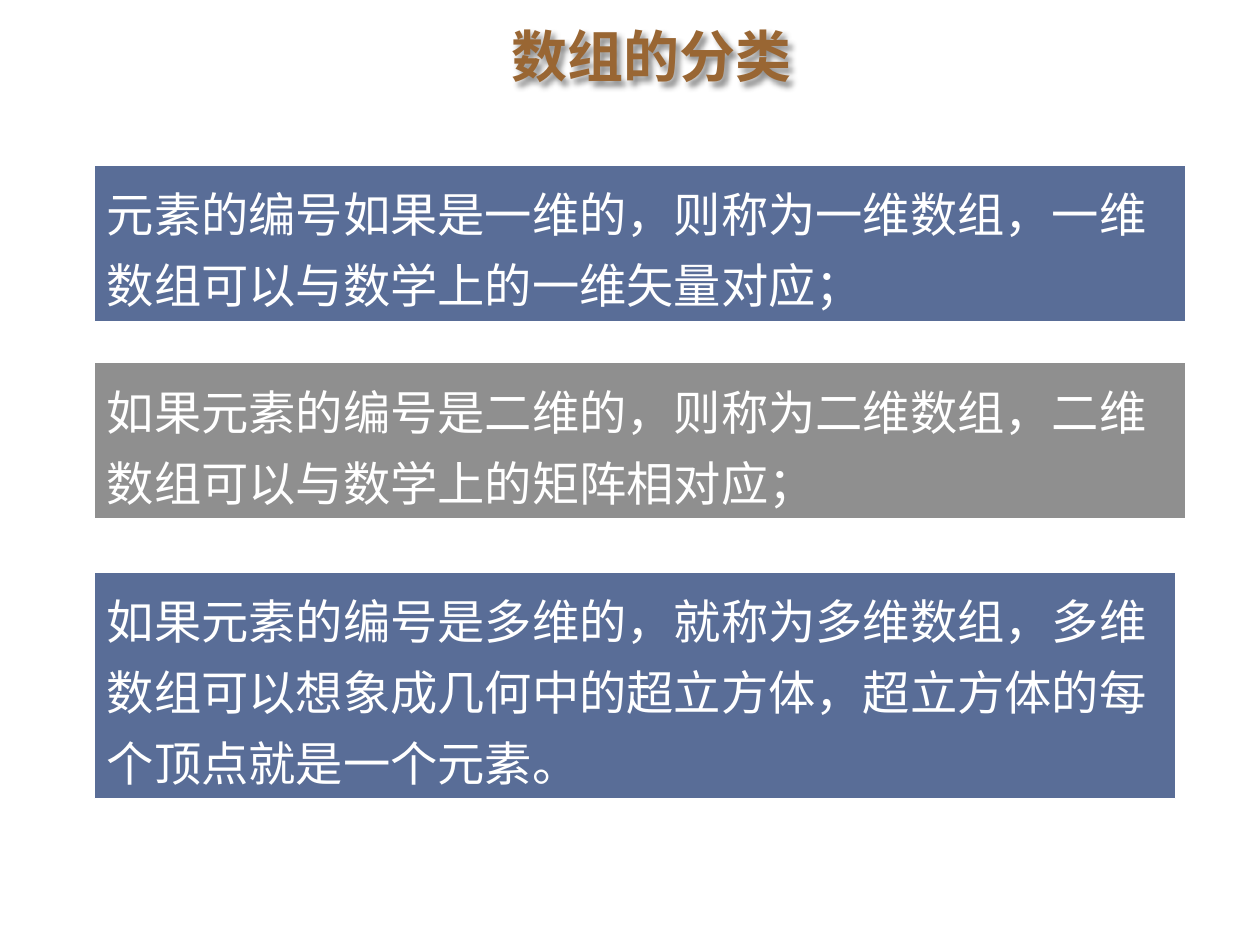
from lxml import etree
from pptx import Presentation
from pptx.dml.color import RGBColor
from pptx.enum.shapes import MSO_SHAPE
from pptx.enum.text import MSO_ANCHOR, PP_ALIGN
from pptx.oxml import parse_xml
from pptx.oxml.ns import nsdecls, qn
from pptx.util import Inches, Pt

FONT = "Noto Sans CJK SC"
COLORS = {"blue": "002060", "gray": "808080", "white": "FFFFFF",
          "brown": "996633", "shadow": "000000"}


def add_run(paragraph, text, size, color, bold=False):
    run = paragraph.add_run()
    run.text = text
    run.font.size = Pt(size)
    run.font.bold = bold
    run.font.name = FONT
    run.font.color.rgb = RGBColor.from_string(COLORS[color])
    east_asian = etree.SubElement(run.font._element, qn("a:ea"))
    east_asian.set("typeface", FONT)


presentation = Presentation()
presentation.slide_width = Inches(10)
presentation.slide_height = Inches(7.5)
slide = presentation.slides.add_slide(presentation.slide_layouts[5])

# Title: the shape has no fill, so its shadow falls from the text
title = slide.shapes.title
title.left, title.top = Inches(2.12), Inches(0.12)
title.width, title.height = Inches(6.1), Inches(0.64)
title.fill.background()
title._element.spPr.append(parse_xml(
    f'<a:effectLst {nsdecls("a")}>'
    '<a:outerShdw blurRad="38100" dist="38100" dir="2700000" algn="tl">'
    f'<a:srgbClr val="{COLORS["shadow"]}"><a:alpha val="43000"/></a:srgbClr>'
    "</a:outerShdw></a:effectLst>"
))
title.text_frame.vertical_anchor = MSO_ANCHOR.MIDDLE
paragraph = title.text_frame.paragraphs[0]
paragraph.alignment = PP_ALIGN.CENTER
add_run(paragraph, "数组的分类", 32, "brown", bold=True)

# Definition boxes: top, width, height, fill, opacity in percent, text
definitions = [
    (1.31, 8.66, 1.24, "blue", 65,
     "元素的编号如果是一维的，则称为一维数组，一维数组可以与数学上的一维矢量对应；"),
    (2.88, 8.66, 1.24, "gray", 88,
     "如果元素的编号是二维的，则称为二维数组，二维数组可以与数学上的矩阵相对应；"),
    (4.54, 8.58, 1.8, "blue", 65,
     "如果元素的编号是多维的，就称为多维数组，多维数组可以想象成几何中的超立方体，超立方体的每个顶点就是一个元素。"),
]
for top, width, height, color, opacity, text in definitions:
    box = slide.shapes.add_shape(
        MSO_SHAPE.RECTANGLE, Inches(0.75), Inches(top), Inches(width), Inches(height)
    )
    box.shadow.inherit = False
    box.fill.solid()
    box.fill.fore_color.rgb = RGBColor.from_string(COLORS[color])
    fill_color = box._element.spPr.find(qn("a:solidFill"))[0]
    etree.SubElement(fill_color, qn("a:alpha")).set("val", str(opacity * 1000))
    box.line.color.rgb = RGBColor.from_string(COLORS["white"])
    box.line.width = Pt(0.75)

    frame = box.text_frame
    frame.word_wrap = True
    frame.vertical_anchor = MSO_ANCHOR.TOP
    paragraph = frame.paragraphs[0]
    paragraph.alignment = PP_ALIGN.LEFT
    paragraph.line_spacing = 1.25
    add_run(paragraph, text, 27, "white")

presentation.save("out.pptx")
